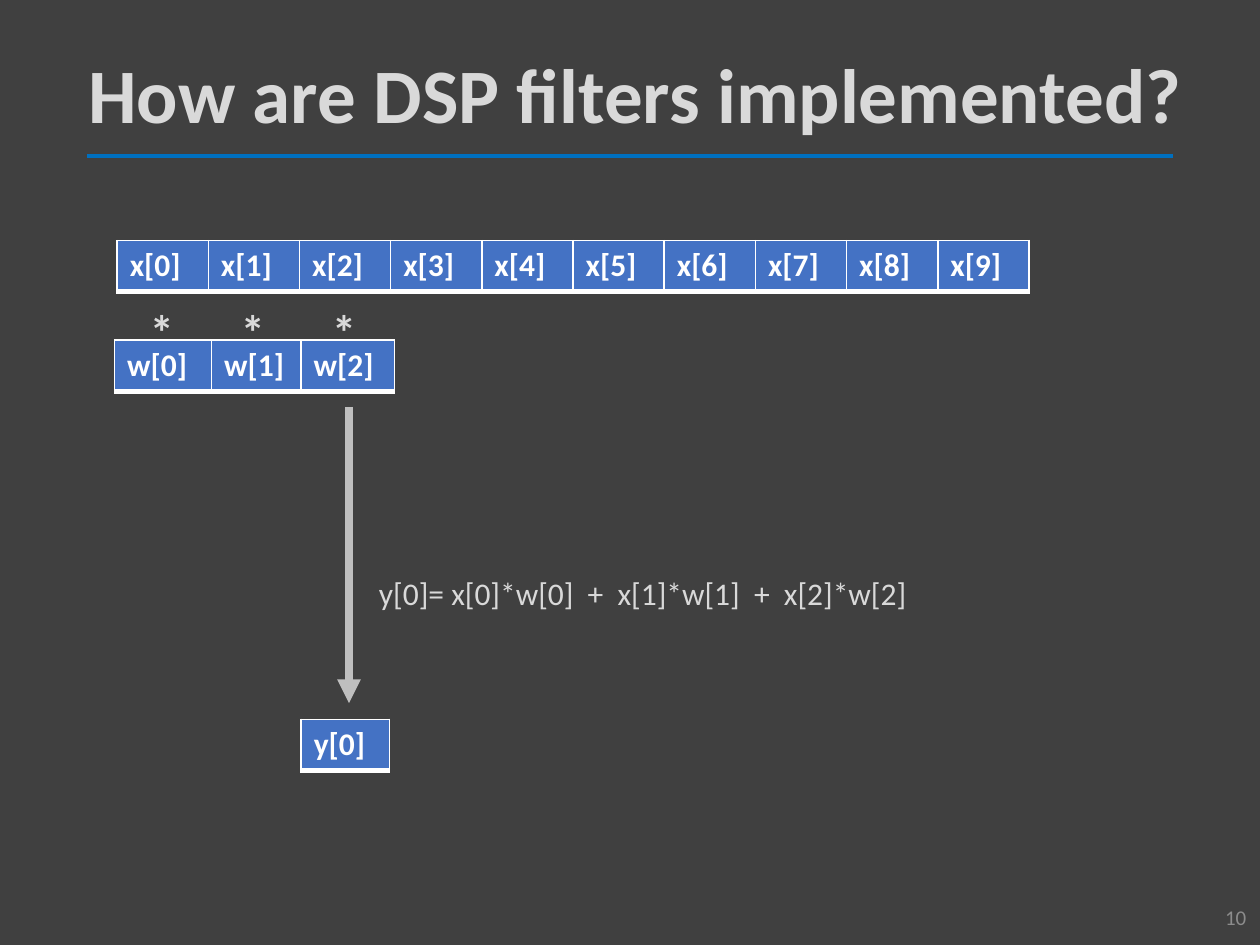
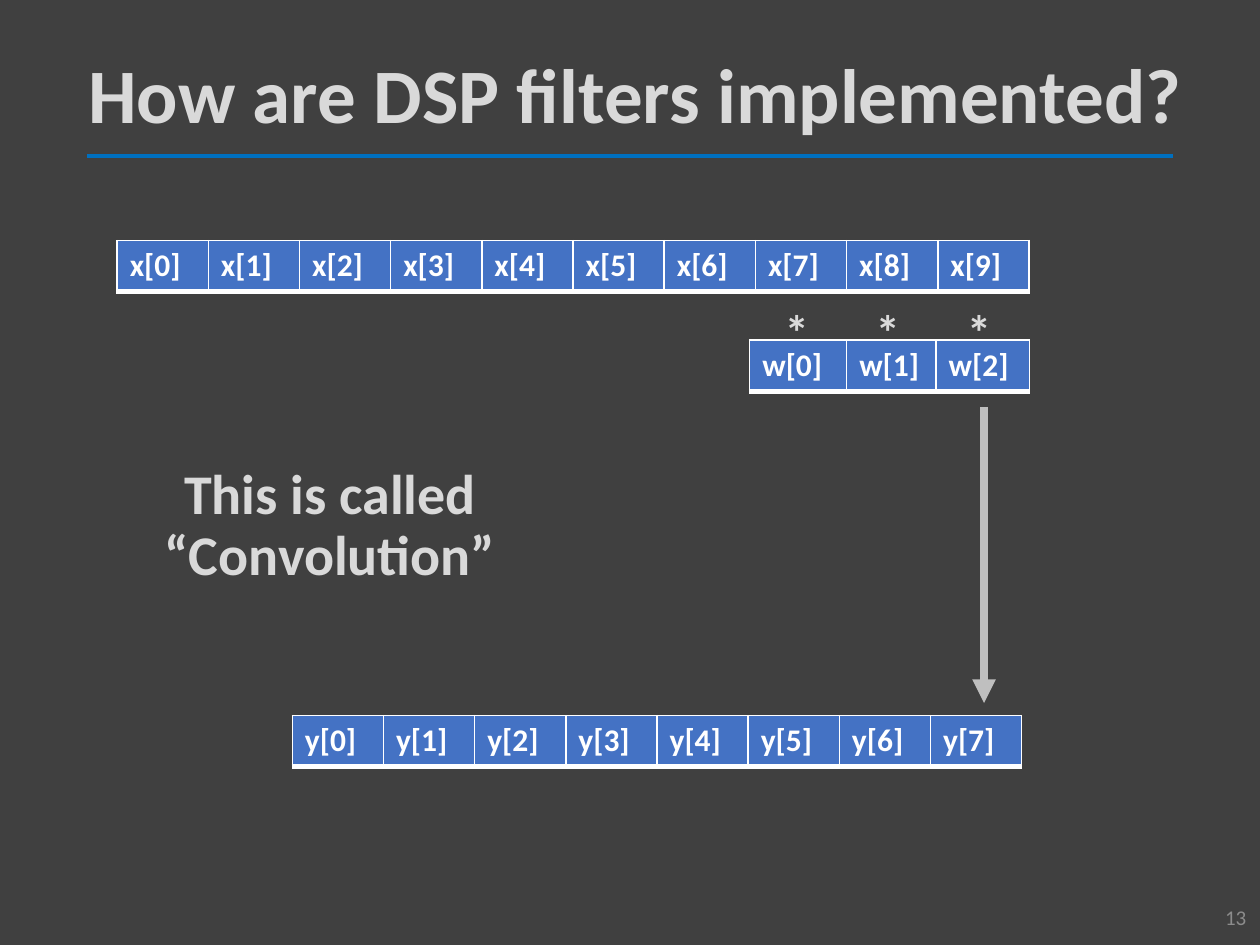
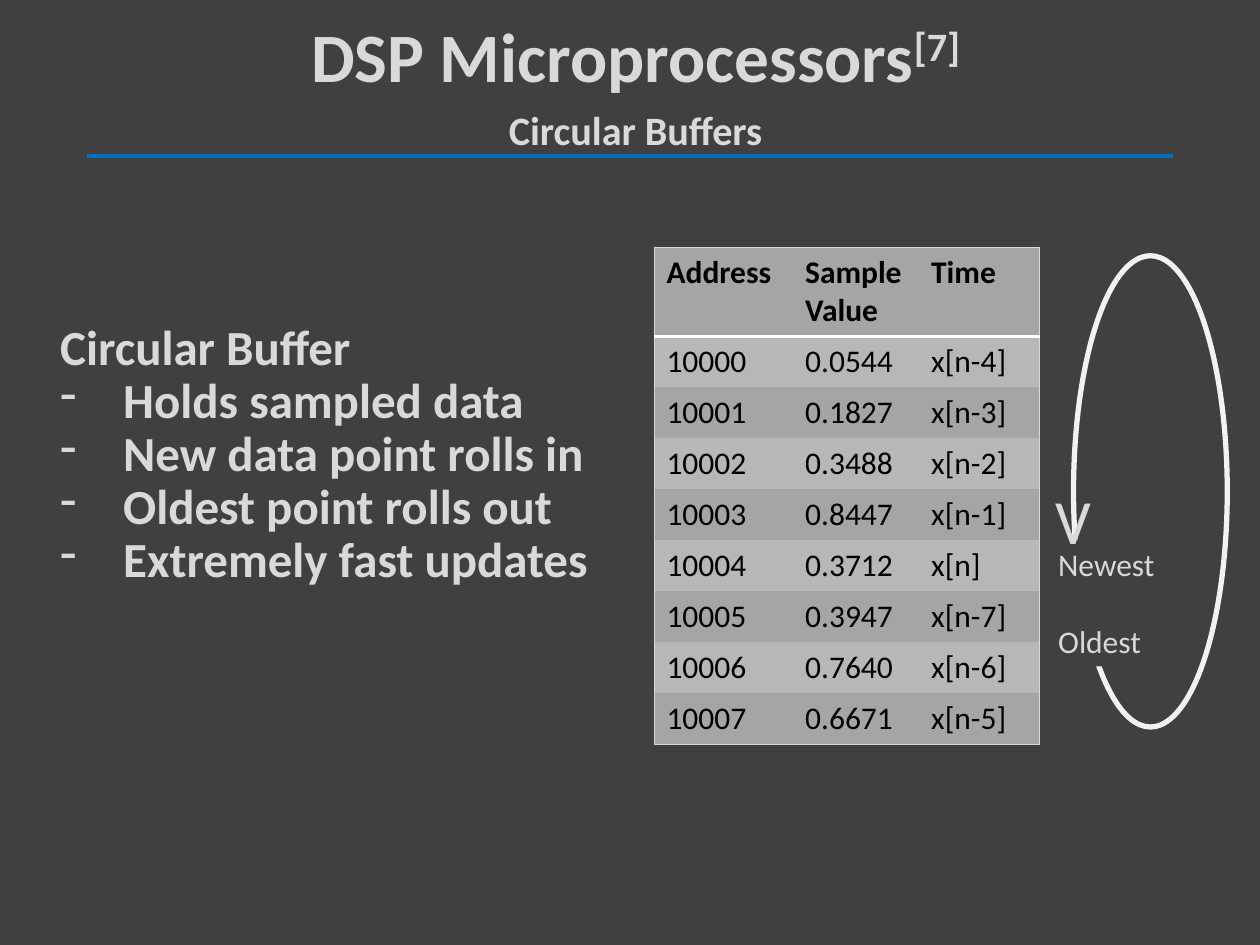
from lxml import etree
from pptx import Presentation
from pptx import util as u
from pptx.dml.color import RGBColor
from pptx.enum import shapes, text
from pptx.oxml import ns

BACKGROUND = RGBColor(0x40, 0x40, 0x40)
BODY = RGBColor(0xD9, 0xD9, 0xD9)
RULE = RGBColor(0x00, 0x70, 0xC0)
NUMBER = RGBColor(0x8C, 0x8C, 0x8C)
ARROW = RGBColor(0xBF, 0xBF, 0xBF)
ARRAY_FILL = RGBColor(0x44, 0x72, 0xC4)
WHITE = RGBColor(0xFF, 0xFF, 0xFF)
BLACK = RGBColor(0x00, 0x00, 0x00)
BUFFER_DARK = RGBColor(0xA5, 0xA5, 0xA5)
BUFFER_LIGHT = RGBColor(0xB7, 0xB7, 0xB7)
BUFFER_EDGE = RGBColor(0xD8, 0xD8, 0xD8)
LOOP = RGBColor(0xF2, 0xF2, 0xF2)

FONT = "Calibri"
COLUMNS, ROWS = 100, 75     # the slide's grid; every length below counts its cells
SAMPLE_WIDTH = 7.24         # one array element
ARRAY_HEIGHT = 4.05
TAP_WIDTHS = [7.7, 7.1, 7.4]
PLAIN_TABLE = "{2D5ABB26-0587-4C30-8999-92F81FD0307C}"
LEFT, CENTER, RIGHT = text.PP_ALIGN.LEFT, text.PP_ALIGN.CENTER, text.PP_ALIGN.RIGHT
TOP, MIDDLE = text.MSO_ANCHOR.TOP, text.MSO_ANCHOR.MIDDLE

FILTER_TITLE = "How are DSP filters implemented?"
BUFFER_POINTS = ["Holds sampled data", "New data point rolls in",
                 "Oldest point rolls out", "Extremely fast updates"]
BUFFER_HEAD = ["Address", "Sample Value", "Time"]
BUFFER_SAMPLES = [("0.0544", "x[n-4]"), ("0.1827", "x[n-3]"), ("0.3488", "x[n-2]"),
                  ("0.8447", "x[n-1]"), ("0.3712", "x[n]"), ("0.3947", "x[n-7]"),
                  ("0.7640", "x[n-6]"), ("0.6671", "x[n-5]")]


def child(parent, tag, **attributes):
    return etree.SubElement(parent, ns.qn(tag), attributes)


def set_border(cell, side, color, points):
    """Draw one side of a cell: L, R, T or B. Call before filling the cell."""
    line = child(cell._tc.get_or_add_tcPr(), f"a:ln{side}", w=str(u.Pt(points)))
    child(child(line, "a:solidFill"), "a:srgbClr", val=str(color))


class Deck:
    def __init__(self):
        self.prs = Presentation()
        self.prs.slide_width, self.prs.slide_height = u.Inches(10), u.Inches(7.5)
        fill = self.prs.slide_master.background.fill
        fill.solid()
        fill.fore_color.rgb = BACKGROUND
        self.slide = None

    def place(self, *lengths):
        """Turn alternating column and row counts into slide lengths."""
        cells = (self.prs.slide_width / COLUMNS, self.prs.slide_height / ROWS)
        return [round(n * cells[i % 2]) for i, n in enumerate(lengths)]

    def new_slide(self, number=None):
        self.slide = self.prs.slides.add_slide(self.prs.slide_layouts[6])
        self.line((6.9, 12.4), (93.1, 12.4), RULE, 2.25)
        if number:
            self.text((77.4, 70.8, 22.5, 4), [str(number)], 12, color=NUMBER,
                      align=RIGHT, anchor=MIDDLE)

    def line(self, start, end, color, points, arrow=False):
        connector = self.slide.shapes.add_connector(
            shapes.MSO_CONNECTOR.STRAIGHT, *self.place(*start, *end))
        connector.line.color.rgb = color
        connector.line.width = u.Pt(points)
        if arrow:
            child(connector.line._get_or_add_ln(), "a:tailEnd", type="triangle")
        child(connector._element.spPr, "a:effectLst")

    def style(self, paragraph, size, color=BODY, bold=False, align=LEFT, spacing=None):
        paragraph.alignment = align
        if spacing:
            paragraph.line_spacing = spacing
        for run in paragraph.runs:
            font = run.font
            font.name, font.size, font.bold = FONT, u.Pt(size), bold
            font.color.rgb = color

    def fill_frame(self, frame, lines, size, anchor=TOP, **look):
        frame.word_wrap = True
        frame.vertical_anchor = anchor
        frame.text = "\n".join(lines)
        for paragraph in frame.paragraphs:
            self.style(paragraph, size, **look)
        return frame.paragraphs

    def text(self, box, lines, size, **look):
        frame = self.slide.shapes.add_textbox(*self.place(*box)).text_frame
        return self.fill_frame(frame, lines, size, **look)

    def title(self, heading, reference=None, subtitle=None):
        look = dict(bold=True, align=CENTER)
        if not subtitle:
            self.text((5.1, 2.4, 90.7, 10.9), [heading], 44, anchor=MIDDLE,
                      spacing=0.9, **look)
            return
        paragraph, = self.text((5.1, 2.2, 90.7, 10.9), [heading], 39.6, anchor=MIDDLE)
        paragraph.add_run().text = reference
        paragraph.add_line_break()
        paragraph.add_run().text = subtitle
        self.style(paragraph, 39.6, spacing=u.Pt(48), **look)
        for raised in paragraph.runs[1:]:
            raised.font._element.set("baseline", "30000")

    def shape(self, kind, box, fill=None, edge=None, points=0):
        shape = self.slide.shapes.add_shape(kind, *self.place(*box))
        shape.shadow.inherit = False
        for paint, color in ((shape.fill, fill), (shape.line.fill, edge)):
            if color is None:
                paint.background()
            else:
                paint.solid()
                paint.fore_color.rgb = color
        if edge is not None:
            shape.line.width = u.Pt(points)
        return shape

    def table(self, left, top, widths, heights):
        frame = self.slide.shapes.add_table(
            len(heights), len(widths),
            *self.place(left, top, sum(widths), sum(heights)))
        table = frame.table
        table.first_row = table.horz_banding = False
        table._tbl.tblPr.find(ns.qn("a:tableStyleId")).text = PLAIN_TABLE
        for column, width in zip(table.columns, widths):
            column.width, = self.place(width)
        for row, height in zip(table.rows, heights):
            row.height = self.place(0, height)[1]
        return table

    def cell(self, cell, label, fill, color, bold):
        cell.text = label
        self.style(cell.text_frame.paragraphs[0], 18, color, bold)
        cell.fill.solid()
        cell.fill.fore_color.rgb = fill

    def array(self, name, left, top, widths):
        """Draw a one-row array whose elements are name[0], name[1], ..."""
        table = self.table(left, top, widths, [ARRAY_HEIGHT])
        for i, cell in enumerate(table.iter_cells()):
            for side, points in zip("LRTB", (1, 1, 1, 3)):
                set_border(cell, side, WHITE, points)
            self.cell(cell, f"{name}[{i}]", ARRAY_FILL, WHITE, True)

    def filter_step(self, step):
        """Draw the samples with the weights slid along to the given step."""
        self.array("x", 9.3, 19.1, [SAMPLE_WIDTH] * 10)
        left = 9.1 + step * 7.2
        self.array("w", left, 27, TAP_WIDTHS)
        stars, = self.text((left, 23.4, 22.4, 5.7), ["\t*" * len(TAP_WIDTHS)], 28,
                           bold=True)
        stops = child(stars._p.get_or_add_pPr(), "a:tabLst")
        for i in range(len(TAP_WIDTHS)):
            stop, = self.place(2.75 + i * SAMPLE_WIDTH)
            child(stops, "a:tab", pos=str(stop), algn="ctr")
        self.line((left + 18.6, 32.3), (left + 18.6, 55.8), ARROW, 4.5, arrow=True)

    def buffer_table(self):
        rows = [BUFFER_HEAD] + [(str(10000 + i), *sample)
                                for i, sample in enumerate(BUFFER_SAMPLES)]
        table = self.table(51.9, 19.6, [11, 10, 9.6],
                           [7.1] + [ARRAY_HEIGHT] * len(BUFFER_SAMPLES))
        last_row, last_column = len(rows) - 1, len(BUFFER_HEAD) - 1
        for r, row in enumerate(rows):
            for c, label in enumerate(row):
                cell = table.cell(r, c)
                edges = {"L": c == 0, "R": c == last_column,
                         "T": r == 0, "B": r == last_row}
                for side, outer in edges.items():
                    if outer:
                        set_border(cell, side, BUFFER_EDGE, 0.5)
                if r == 0:
                    set_border(cell, "B", WHITE, 1.5)
                self.cell(cell, label, BUFFER_LIGHT if r % 2 else BUFFER_DARK,
                          BLACK, r == 0)

    def buffer_points(self):
        paragraphs = self.text((3.8, 25.4, 44.6, 21.5), ["Circular Buffer"] + BUFFER_POINTS,
                               28, bold=True, spacing=0.9, anchor=MIDDLE)
        for point in paragraphs[1:]:
            properties = point._p.get_or_add_pPr()
            properties.set("marL", str(u.Inches(0.5)))
            properties.set("indent", str(u.Inches(-0.5)))
            child(properties, "a:buFontTx")
            child(properties, "a:buChar", char="-")

    def buffer_loop(self):
        self.shape(shapes.MSO_SHAPE.OVAL, (85.2, 20.3, 12.2, 37.4), edge=LOOP, points=3)
        gap = self.shape(shapes.MSO_SHAPE.RECTANGLE, (83, 42.8, 10.5, 10.1), BACKGROUND)
        newest, oldest = self.fill_frame(gap.text_frame, ["Newest", "Oldest"], 18)
        oldest.space_before = u.Pt(22)
        self.text((82.8, 37.7, 4.8, 7.1), ["V"], 36)


def main():
    deck = Deck()

    deck.new_slide(10)
    deck.title(FILTER_TITLE)
    deck.filter_step(0)
    deck.array("y", 23.9, 57.1, [7])
    deck.text((29.1, 45.1, 50.4, 7.1), ["y[0]= x[0]*w[0]  +  x[1]*w[1]  +  x[2]*w[2]"], 18)

    deck.new_slide(13)
    deck.title(FILTER_TITLE)
    deck.filter_step(7)
    deck.array("y", 23.2, 56.8, [SAMPLE_WIDTH] * 8)
    deck.text((12, 37.7, 28.4, 8.2), ["This is called “Convolution”"], 32,
              bold=True, align=CENTER, spacing=0.9, anchor=MIDDLE)

    deck.new_slide()
    deck.title("DSP Microprocessors", "[7]", "Circular Buffers")
    deck.buffer_points()
    deck.buffer_table()
    deck.buffer_loop()

    deck.prs.save("out.pptx")


if __name__ == "__main__":
    main()
